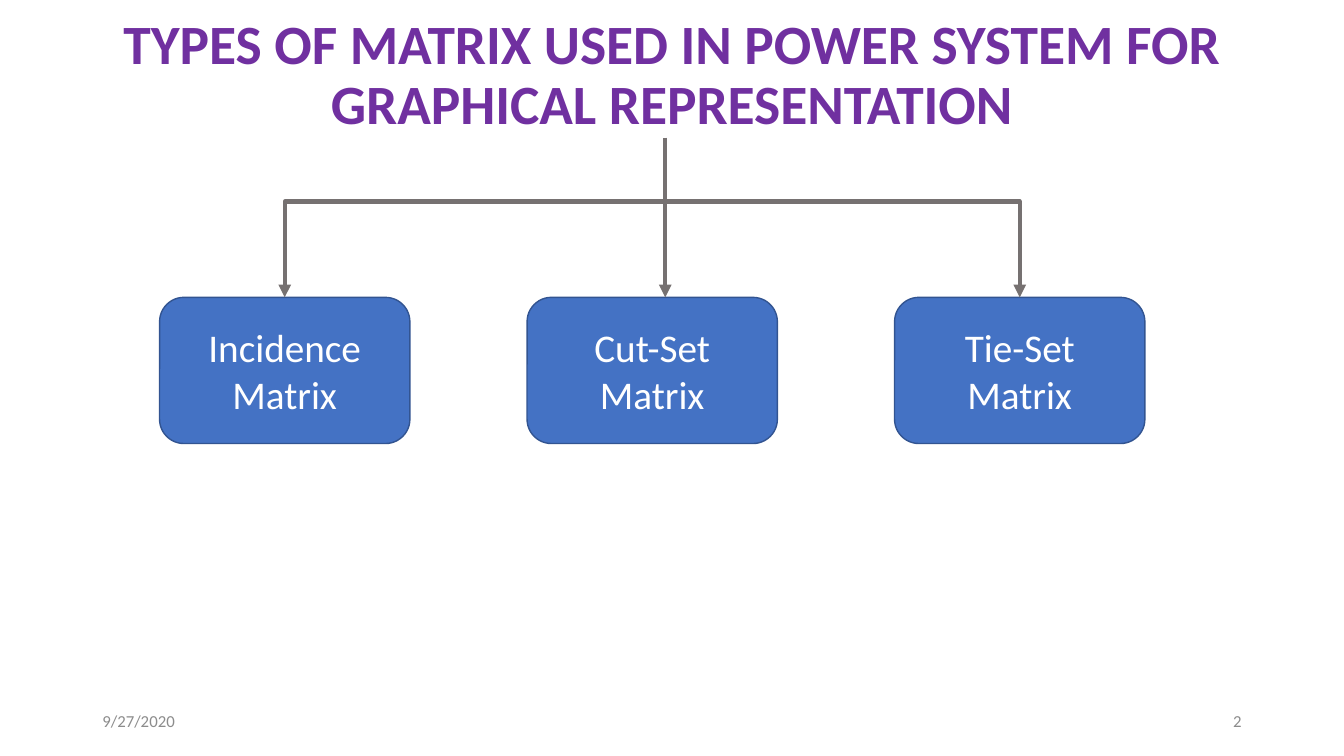
from lxml import etree
from pptx import Presentation
from pptx.dml.color import RGBColor
from pptx.enum.shapes import MSO_CONNECTOR, MSO_SHAPE
from pptx.enum.text import MSO_ANCHOR, MSO_AUTO_SIZE, PP_ALIGN
from pptx.oxml.ns import qn
from pptx.util import Inches, Pt

LEFT, CENTER, RIGHT = PP_ALIGN.LEFT, PP_ALIGN.CENTER, PP_ALIGN.RIGHT
MIDDLE = MSO_ANCHOR.MIDDLE
NO_AUTOFIT = MSO_AUTO_SIZE.NONE
ROUNDED = MSO_SHAPE.ROUNDED_RECTANGLE
STRAIGHT, ELBOW = MSO_CONNECTOR.STRAIGHT, MSO_CONNECTOR.ELBOW
TITLE_ONLY = 5


def color(hex_string):
    return RGBColor.from_string(hex_string)


class TreeSlide:
    """Places elements on a grid of 160 columns by 90 rows."""
    font_name = "Calibri"
    purple, grey, line_grey = "7030A0", "8C8C8C", "767171"
    blue, dark_blue, white = "4472C4", "325491", "FFFFFF"

    def __init__(self, presentation):
        self.slide = presentation.slides.add_slide(presentation.slide_layouts[TITLE_ONLY])
        self.column = presentation.slide_width / 160
        self.row = presentation.slide_height / 90

    def grid(self, *pairs):
        """Turns column, row, column, row ... into slide lengths."""
        units = (self.column, self.row)
        return [round(value * units[index % 2]) for index, value in enumerate(pairs)]

    def set_text(self, shape, text, size, hex_string, align, bold=False):
        frame = shape.text_frame
        frame.text = text
        frame.word_wrap = True
        frame.auto_size = NO_AUTOFIT
        frame.vertical_anchor = MIDDLE
        paragraph = frame.paragraphs[0]
        paragraph.alignment = align
        for run in paragraph.runs:
            run.font.name = self.font_name
            run.font.size = Pt(size)
            run.font.bold = bold
            run.font.color.rgb = color(hex_string)
        return paragraph

    def title(self, text, *area):
        shape = self.slide.shapes.title
        shape.left, shape.top, shape.width, shape.height = self.grid(*area)
        paragraph = self.set_text(shape, text, 39.6, self.purple, CENTER, bold=True)
        paragraph.line_spacing = 0.9

    def footer(self, text, align, *area):
        shape = self.slide.shapes.add_textbox(*self.grid(*area))
        self.set_text(shape, text, 12, self.grey, align)

    def box(self, text, *area):
        shape = self.slide.shapes.add_shape(ROUNDED, *self.grid(*area))
        shape.shadow.inherit = False
        shape.fill.solid()
        shape.fill.fore_color.rgb = color(self.blue)
        shape.line.color.rgb = color(self.dark_blue)
        shape.line.width = Pt(1)
        self.set_text(shape, text, 28, self.white, CENTER)

    def connector(self, *ends, kind=STRAIGHT, arrow=True):
        """Draws a line; an elbow runs across first, then down."""
        line = self.slide.shapes.add_connector(kind, *self.grid(*ends))
        line.line.color.rgb = color(self.line_grey)
        line.line.width = Pt(3)
        properties = line._element.spPr
        if kind == ELBOW:
            properties.find(qn("a:prstGeom")).set("prst", "bentConnector2")
        if arrow:
            etree.SubElement(properties.find(qn("a:ln")), qn("a:tailEnd"), type="triangle")
        etree.SubElement(properties, qn("a:effectLst"))


def main():
    presentation = Presentation()
    presentation.slide_width, presentation.slide_height = Inches(13.33), Inches(7.5)
    tree = TreeSlide(presentation)

    # The title ends with a line break, which lifts its two lines
    tree.title("TYPES OF MATRIX USED IN POWER SYSTEM FOR GRAPHICAL REPRESENTATION\v",
               11, 4.8, 138, 17.4)
    tree.footer("9/27/2020", LEFT, 11, 83.4, 36, 4.8)
    tree.footer("2", RIGHT, 113, 83.4, 36, 4.8)

    first_left, step, box_width, box_height = 19, 43.75, 29.8, 17.4
    trunk, trunk_top, branch, box_top = 79.2, 16.4, 24, 35.4
    names = ("Incidence Matrix", "Cut-Set Matrix", "Tie-Set Matrix")
    for index, name in enumerate(names):
        tree.box(name, first_left + index * step, box_top, box_width, box_height)

    tree.connector(trunk, trunk_top, trunk, branch, arrow=False)
    first_center = first_left + box_width / 2
    for center in (first_center, first_center + 2 * step):
        tree.connector(trunk, branch, center, box_top, kind=ELBOW)
    tree.connector(trunk, branch, trunk, box_top)

    presentation.save("out.pptx")


if __name__ == "__main__":
    main()
